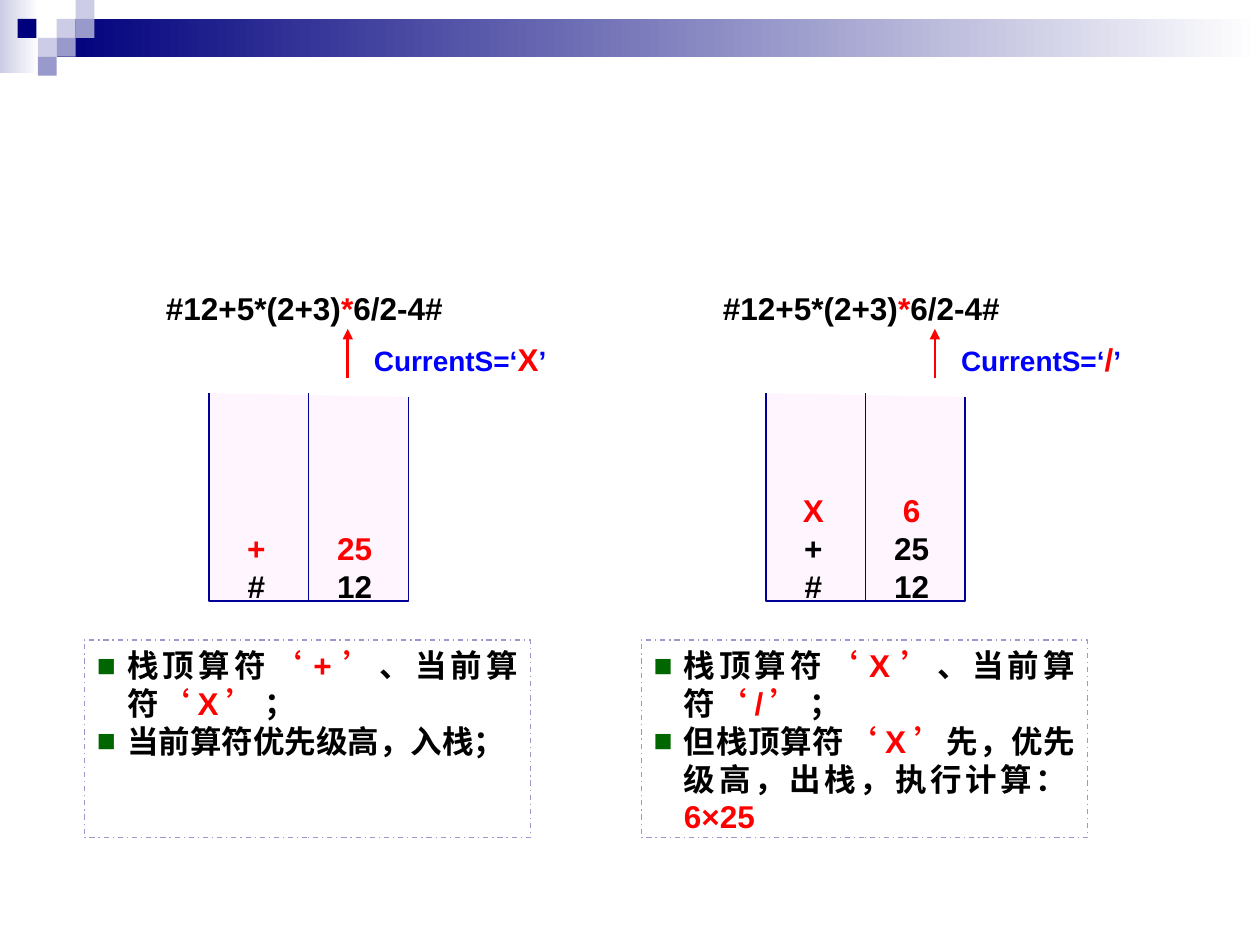
from lxml import etree
from pptx import Presentation
from pptx.dml.color import RGBColor
from pptx.enum.dml import MSO_LINE
from pptx.enum.shapes import MSO_CONNECTOR, MSO_SHAPE
from pptx.enum.text import MSO_ANCHOR, PP_ALIGN
from pptx.oxml.ns import qn
from pptx.util import Inches, Pt

RECTANGLE = MSO_SHAPE.RECTANGLE
STRAIGHT = MSO_CONNECTOR.STRAIGHT
DASH_DOT = MSO_LINE.DASH_DOT
TOP, MIDDLE, BOTTOM = MSO_ANCHOR.TOP, MSO_ANCHOR.MIDDLE, MSO_ANCHOR.BOTTOM
LEFT, CENTER, JUSTIFY = PP_ALIGN.LEFT, PP_ALIGN.CENTER, PP_ALIGN.JUSTIFY

COLUMNS, ROWS = 100, 75
CELL = Inches(0.1)
TILE = 1.5
INK, RED, BLUE, WHITE = "000000", "FF0000", "0000FF", "FFFFFF"
NAVY, PALE, LILAC = "00007D", "CCCCE6", "9999CC"
EDGE, STACK_FILL, BULLET = "000099", "FFF5FF", "006600"
STACK_MARGINS = {"margin_left": 0, "margin_right": 0, "margin_bottom": Inches(0.03)}

TILES = [(3, 1, PALE), (4, 0, PALE), (4, 1, LILAC), (2, 2, PALE),
         (0.93, 1, NAVY), (3, 2, LILAC), (2, 3, LILAC)]
EXPRESSION = [("#12+5*(2+3)", INK), ("*", RED), ("6/2-4# ", INK)]
PANELS = [
    {"left": 6.7, "arrow": 27.6, "symbol": "X", "label_width": 16.3,
     "operators": [("+", RED), ("#", INK)],
     "operands": [("25", RED), ("12", INK)],
     "notes": [
         [("栈顶算符", INK), ("‘+’", RED), ("、当前算符", INK),
          ("‘X’ ", RED), ("；", INK)],
         [("当前算符优先级高，入栈；", INK)]]},
    {"left": 50.9, "arrow": 74.2, "symbol": "/", "label_width": 15.3,
     "operators": [("X", RED), ("+", INK), ("#", INK)],
     "operands": [("6", RED), ("25", INK), ("12", INK)],
     "notes": [
         [("栈顶算符", INK), ("‘X’", RED), ("、当前算符", INK),
          ("‘/’ ", RED), ("；", INK)],
         [("但栈顶算符", INK), ("‘X’", RED),
          ("先，优先级高，出栈，执行计算：", INK), ("6×25", RED)]]},
]


def grid(*cells):
    """Turn grid counts into slide lengths."""
    return [round(cell * CELL) for cell in cells]


def color(value):
    """Make a colour from a hex string."""
    return RGBColor.from_string(value)


def paint(fill, value):
    """Fill with one solid colour."""
    fill.solid()
    fill.fore_color.rgb = color(value)


def add_block(slide, area, fill=None, line=None):
    """Add a rectangle with an optional fill and dash-dot outline."""
    block = slide.shapes.add_shape(RECTANGLE, *grid(*area))
    block.shadow.inherit = False
    if fill:
        paint(block.fill, fill)
    else:
        block.fill.background()
    if line:
        paint(block.line.fill, line)
        block.line.width = Pt(0.75)
        block.line.dash_style = DASH_DOT
    else:
        block.line.fill.background()
    return block


def add_fade(slide, area, start):
    """Add a rectangle that fades to white from left to right."""
    fill = add_block(slide, area, WHITE).fill
    fill.gradient()
    fill.gradient_angle = 0
    for stop, value in zip(fill.gradient_stops, (start, WHITE)):
        stop.color.rgb = color(value)


def add_line(slide, start, end, value, width, arrow=False):
    """Add a straight line, with an arrowhead at its end on request."""
    line = slide.shapes.add_connector(STRAIGHT, *grid(*start, *end))
    paint(line.line.fill, value)
    line.line.width = Pt(width)
    if arrow:
        etree.SubElement(line.line._get_or_add_ln(), qn("a:tailEnd"), type="triangle")
    etree.SubElement(line._element.spPr, qn("a:effectLst"))


def add_bullet(para):
    """Give a paragraph a green square bullet and a hanging indent."""
    properties = para._p.get_or_add_pPr()
    indent = Inches(0.24)
    properties.set("marL", str(indent))
    properties.set("indent", str(-indent))
    holder = etree.SubElement(properties, qn("a:buClr"))
    etree.SubElement(holder, qn("a:srgbClr"), val=BULLET)
    etree.SubElement(properties, qn("a:buFont"), typeface="Arial")
    etree.SubElement(properties, qn("a:buChar"), char="■")


def write(box, paragraphs, align, anchor, wrap=False, bullets=False):
    """Write paragraphs of (text, colour, optional size) spans into a box."""
    frame = box.text_frame
    frame.word_wrap, frame.vertical_anchor = wrap, anchor
    for index, spans in enumerate(paragraphs):
        para = frame.add_paragraph() if index else frame.paragraphs[0]
        para.alignment = align
        if bullets:
            add_bullet(para)
        for text, value, *size in spans:
            span = para.add_run()
            span.text = text
            style = {"name": "Arial", "bold": True, "size": Pt(*size or [18])}
            for name, setting in style.items():
                setattr(span.font, name, setting)
            span.font.color.rgb = color(value)


def add_text(slide, area, paragraphs, align, anchor):
    """Add an unwrapped text box."""
    box = slide.shapes.add_textbox(*grid(*area))
    write(box, paragraphs, align, anchor)
    return box


def add_entries(slide, area, entries):
    """Add the entries of one stack column, resting on its floor."""
    box = add_text(slide, area, [[entry] for entry in entries], CENTER, BOTTOM)
    for name, setting in STACK_MARGINS.items():
        setattr(box.text_frame, name, setting)


def add_stack(slide, left, top, width, height):
    """Add a two-column stack that is open at the top."""
    right, bottom = left + width, top + height
    corners = [(left, bottom), (right, bottom), (right, top + 0.3)]
    builder = slide.shapes.build_freeform(*grid(left, top))
    builder.add_line_segments([grid(*corner) for corner in corners], close=False)
    stack = builder.convert_to_shape()
    stack.shadow.inherit = False
    paint(stack.fill, STACK_FILL)
    paint(stack.line.fill, EDGE)
    stack.line.width = Pt(0.75)
    middle = left + width / 2
    add_line(slide, (middle, top), (middle, bottom), EDGE, 0.75)


def add_header(slide):
    """Add the fading bars and the tile mosaic."""
    add_fade(slide, (0, 0, 3.1, 5.8), PALE)
    add_fade(slide, (3 * TILE, TILE, COLUMNS - 3 * TILE, 2 * TILE), NAVY)
    for column, row, value in TILES:
        add_block(slide, (column * TILE, row * TILE, TILE, TILE), value)


def add_panel(slide, panel):
    """Add one evaluation step: stack, notes, expression and pointer."""
    left, arrow = panel["left"], panel["arrow"]
    add_stack(slide, left + 9.9, 31.2, 15.8, 16.5)
    notes = add_block(slide, (left, 50.8, 35.4, 15.7), line=LILAC)
    write(notes, panel["notes"], JUSTIFY, TOP, wrap=True, bullets=True)
    add_entries(slide, (left + 11.3, 35.7, 4.7, 12.6), panel["operators"])
    add_entries(slide, (left + 19.5, 38.9, 3.9, 9.4), panel["operands"])
    expression = add_block(slide, (left + 4.4, 22.5, 26.8, 3.9), WHITE)
    write(expression, [EXPRESSION], CENTER, MIDDLE)
    add_line(slide, (arrow, 30), (arrow, 26.1), RED, 1.5, arrow=True)
    label = [("CurrentS=‘", BLUE, 16), (panel["symbol"], RED), ("’", BLUE, 16)]
    add_text(slide, (arrow + 1.1, 26.5, panel["label_width"], 4), [label], LEFT, MIDDLE)


def main():
    """Build the deck and save it."""
    deck = Presentation()
    deck.slide_width, deck.slide_height = grid(COLUMNS, ROWS)
    page = deck.slides.add_slide(deck.slide_layouts[6])
    add_header(page)
    for panel in PANELS:
        add_panel(page, panel)
    deck.save("out.pptx")


if __name__ == "__main__":
    main()
